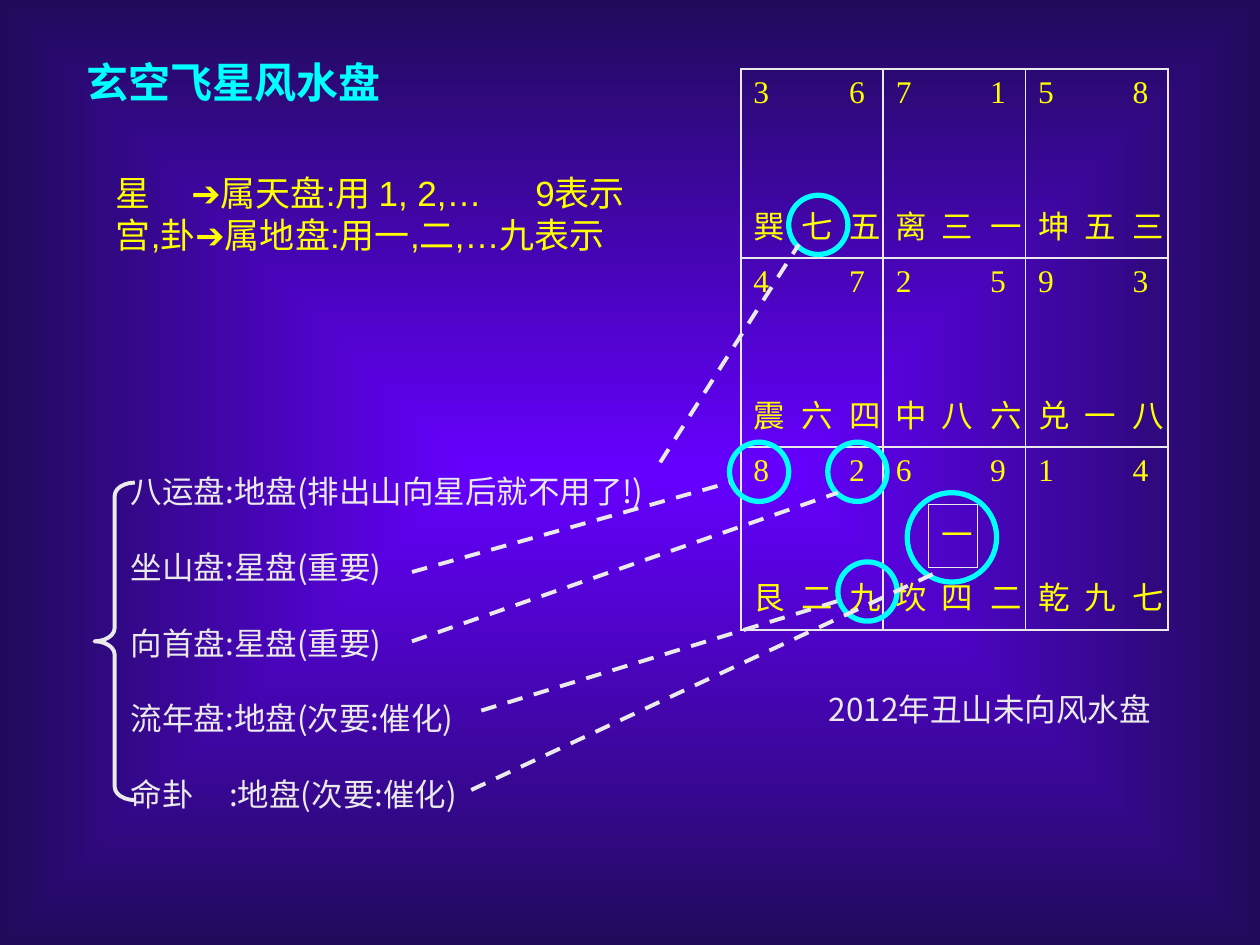
import pptx
import pptx.dml.color
import pptx.enum.dml
import pptx.enum.shapes
import pptx.oxml
import pptx.oxml.ns
import pptx.util
from lxml import etree

COLORS = {"light": "EAEAEA", "yellow": "FFFF00", "cyan": "00FFFF",
          "center": "6600FF", "edge": "200B5B"}
CJK = "Noto Sans CJK SC"
NO_STYLE = "{2D5ABB26-0587-4C30-8999-92F81FD0307C}"

# Text boxes: left, top, width, height, size, font, colour, bold, gap, tabs, lines
TEXTS = [
    (6.48, 5.4, 3.0, 0.4, 18, CJK, "light", False, 0, [], ["2012年丑山未向风水盘"]),
    (0.94, 3.67, 4.4, 2.8, 18, CJK, "light", False, 21.6, [0.78],
     ["八运盘:地盘(排出山向星后就不用了!)", "坐山盘:星盘(重要)", "向首盘:星盘(重要)",
      "流年盘:地盘(次要:催化)", "命卦\t:地盘(次要:催化)"]),
    (0.59, 0.36, 2.8, 0.5, 24, "Arial", "cyan", True, 0, [], ["玄空飞星风水盘"]),
    (0.82, 1.28, 4.9, 0.77, 20, "Arial", "yellow", False, 0, [0.6, 3.33],
     ["星\t➔属天盘:用 1, 2,…\t9表示", "宫,卦➔属地盘:用一,二,…九表示"]),
]

# Palaces, row by row: top-left star, top-right star, bottom three signs
PALACES = [
    [("3", "6", "巽七五"), ("7", "1", "离三一"), ("5", "8", "坤五三")],
    [("4", "7", "震六四"), ("2", "5", "中八六"), ("9", "3", "兑一八")],
    [("8", "2", "艮二九"), ("6", "9", "坎四二"), ("1", "4", "乾九七")],
]
YEAR_CELL = (7, 4)
YEAR_SIGN = "一"
COL_WIDTHS = [0.38, 0.38, 0.37, 0.36, 0.39, 0.38, 0.37, 0.38, 0.38]
ROW_HEIGHTS = [0.5] * 6 + [0.45, 0.5, 0.5]

# Circles: left, top, diameter; pointers: x1, y1, x2, y2
CIRCLES = [(6.65, 4.46, 0.47), (5.79, 3.51, 0.47), (6.57, 3.51, 0.47),
           (6.26, 1.55, 0.47), (7.2, 3.91, 0.71)]
POINTERS = [(5.24, 3.67, 6.34, 1.94), (3.27, 4.54, 5.79, 3.83),
            (3.27, 5.09, 6.65, 3.91), (3.82, 5.64, 6.65, 4.77),
            (3.74, 6.27, 7.44, 4.54)]


def rgb(name):
    return pptx.dml.color.RGBColor.from_string(COLORS[name])


def inches(*values):
    return [pptx.util.Inches(v) for v in values]


def sub(parent, tag, **attrs):
    return etree.SubElement(parent, pptx.oxml.ns.qn(tag), **attrs)


def style_run(r, size, font, color, bold=False):
    r.font.size = pptx.util.Pt(size)
    r.font.name = font
    r.font.bold = bold
    r.font.color.rgb = rgb(color)
    sub(r.font._element, "a:ea", typeface=CJK)


def style_line(shape, color, width):
    shape.line.color.rgb = rgb(color)
    shape.line.width = pptx.util.Pt(width)


def paint_background(s):
    fill = s.background.fill
    fill.gradient()
    for stop, pos, name in zip(fill.gradient_stops, (0, 1), ("center", "edge")):
        stop.position = pos
        stop.color.rgb = rgb(name)
    grad = s._element.find(".//" + pptx.oxml.ns.qn("a:gradFill"))
    lin = grad.find(pptx.oxml.ns.qn("a:lin"))
    if lin is not None:
        grad.remove(lin)
    shade = sub(grad, "a:path", path="rect")
    sub(shade, "a:fillToRect", l="50000", t="50000", r="50000", b="50000")


def add_text(s, x, y, w, h, size, font, color, bold, gap, tabs, lines):
    tf = s.shapes.add_textbox(*inches(x, y, w, h)).text_frame
    tf.word_wrap = True
    tf.margin_top = pptx.util.Inches(0.05 + 0.12 * size / 72)
    tf.text = "\n".join(lines)
    for i, p in enumerate(tf.paragraphs):
        if tabs:
            tab_list = sub(p._p.get_or_add_pPr(), "a:tabLst")
            for pos in tabs:
                sub(tab_list, "a:tab", pos=str(pptx.util.Inches(pos)), algn="l")
        p.line_spacing = pptx.util.Pt(1.2 * size)
        if i and gap:
            p.space_before = pptx.util.Pt(gap)
        for r in p.runs:
            style_run(r, size, font, color, bold)


def cell_text(row, col):
    if (row, col) == YEAR_CELL:
        return YEAR_SIGN
    left, right, signs = PALACES[row // 3][col // 3]
    return [(left, "", right), ("", "", ""), signs][row % 3][col % 3]


def border_width(row, col, side):
    dr, dc = {"L": (0, -1), "R": (0, 1), "T": (-1, 0), "B": (1, 0)}[side]
    if YEAR_CELL in ((row, col), (row + dr, col + dc)):
        return 0.45
    on_edge = {"L": col % 3 == 0, "R": col % 3 == 2,
               "T": row % 3 == 0, "B": row % 3 == 2}[side]
    return 1.08 if on_edge else 0


def style_cell(cell, row, col):
    tc_pr = cell._tc.get_or_add_tcPr()
    for side in "LRTB":
        width = border_width(row, col, side)
        ln = sub(tc_pr, "a:ln" + side, w=str(pptx.util.Pt(width)))
        if width:
            sub(sub(ln, "a:solidFill"), "a:srgbClr", val=COLORS["light"])
        else:
            sub(ln, "a:noFill")
    cell.fill.background()
    cell.text_frame.text = cell_text(row, col)
    for r in cell.text_frame.paragraphs[0].runs:
        style_run(r, 18, "Times New Roman", "yellow")


def add_chart_of_palaces(s):
    frame = s.shapes.add_table(9, 9, *inches(5.88, 0.55, 3.38, 4.47))
    table = frame.table
    table.first_row = table.horz_banding = False
    table._tbl.tblPr.find(pptx.oxml.ns.qn("a:tableStyleId")).text = NO_STYLE
    for column, width in zip(table.columns, COL_WIDTHS):
        column.width = pptx.util.Inches(width)
    for i, height in enumerate(ROW_HEIGHTS):
        table.rows[i].height = pptx.util.Inches(height)
        for j in range(9):
            style_cell(table.cell(i, j), i, j)


def add_outline(s, kind, x, y, w, h, color, width):
    sp = s.shapes.add_shape(kind, *inches(x, y, w, h))
    sp.shadow.inherit = False
    sp.fill.background()
    style_line(sp, color, width)
    return sp


def main():
    prs = pptx.Presentation()
    prs.slide_width, prs.slide_height = inches(10, 7.5)
    s = prs.slides.add_slide(prs.slide_layouts[6])
    shape_kind = pptx.enum.shapes.MSO_SHAPE
    paint_background(s)

    # Table and labels
    add_chart_of_palaces(s)
    for text in TEXTS:
        add_text(s, *text)

    # Circles and the dashed lines that lead to them
    for x, y, d in CIRCLES:
        add_outline(s, shape_kind.OVAL, x, y, d, d, "cyan", 3)
    for ends in POINTERS:
        line = s.shapes.add_connector(pptx.enum.shapes.MSO_CONNECTOR.STRAIGHT, *inches(*ends))
        style_line(line, "light", 2.25)
        line.line.dash_style = pptx.enum.dml.MSO_LINE.DASH
        sub(line._element.spPr, "a:effectLst")

    # Brace around the list
    brace = add_outline(s, shape_kind.LEFT_BRACE, 0.75, 3.83, 0.32, 2.52, "light", 2.25)
    brace.adjustments[0] = 0.33
    prs.save("out.pptx")


if __name__ == "__main__":
    main()
